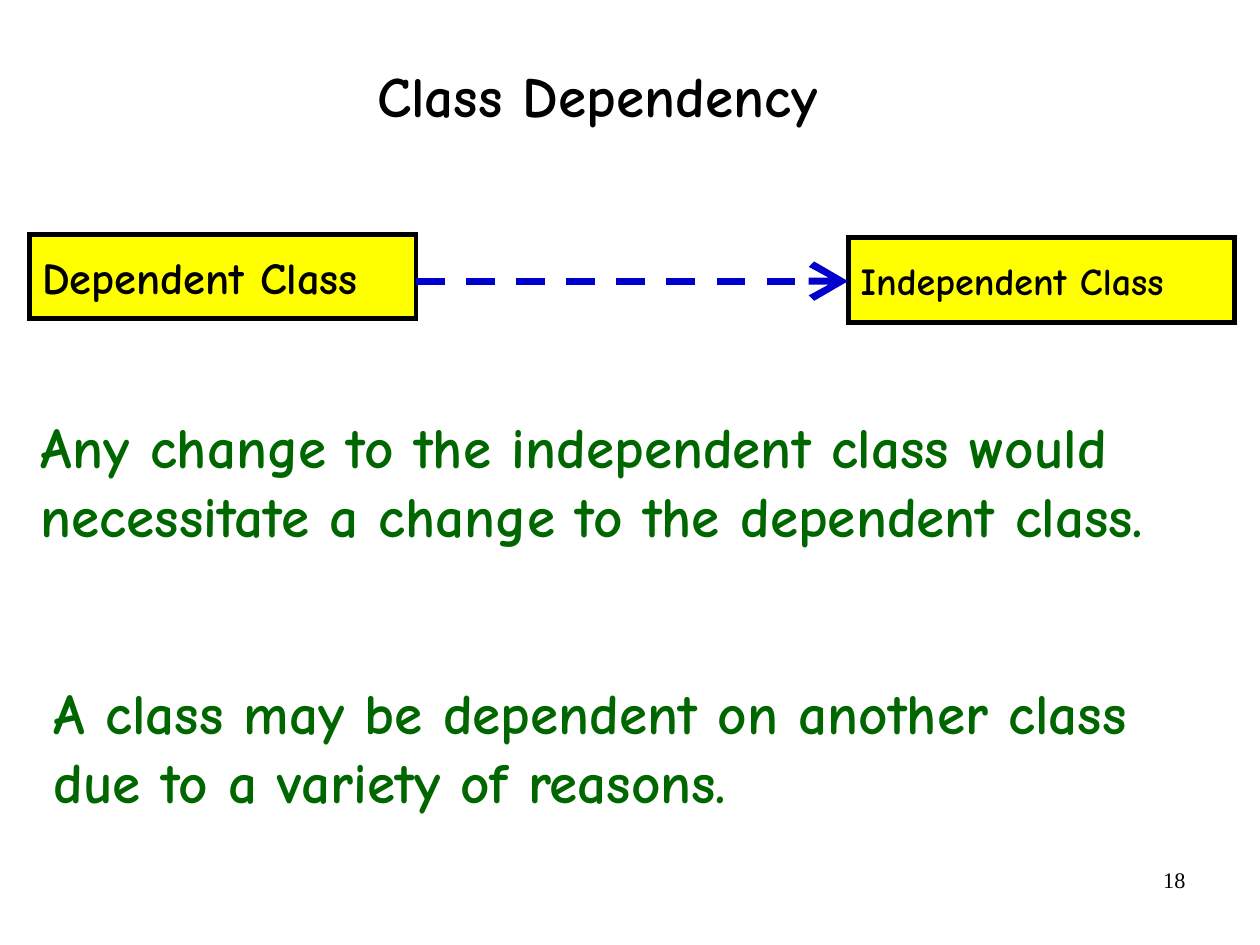
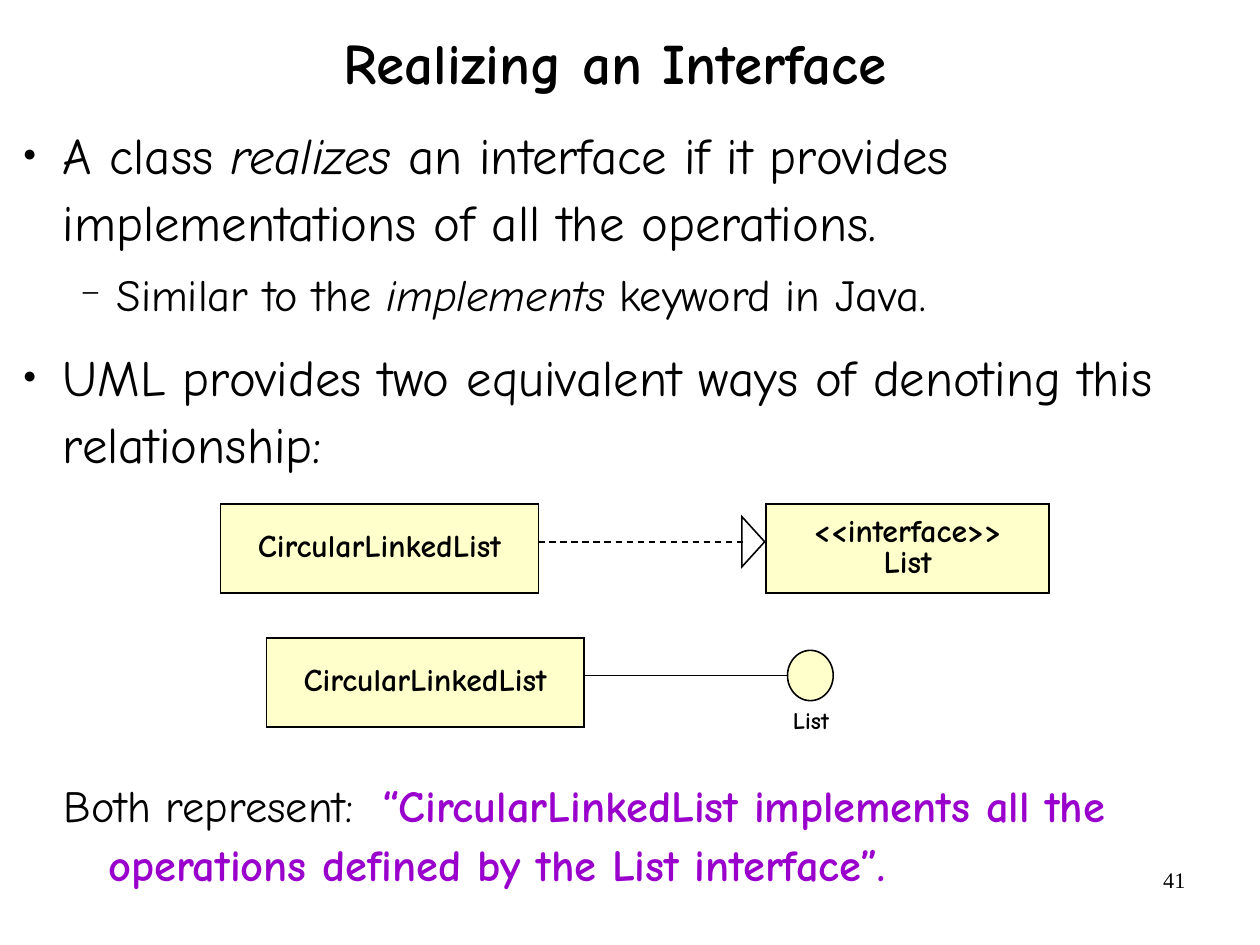
from lxml import etree
from pptx import Presentation
from pptx.dml.color import RGBColor
from pptx.enum.dml import MSO_LINE
from pptx.enum.shapes import MSO_CONNECTOR, MSO_SHAPE
from pptx.enum.text import MSO_ANCHOR, PP_ALIGN
from pptx.oxml.ns import qn
from pptx.util import Inches, Pt

FONT, SERIF = "Comic Neue", "Times New Roman"
BLACK, YELLOW, CREAM = "000000", "FFFF00", "FFFFCC"
BLUE, GREEN, PURPLE = "0000CC", "006600", "9900CC"


def color(code):
    return RGBColor.from_string(code)


def element(parent, tag, **attrs):
    return etree.SubElement(parent, qn(tag), attrs)


def bullet(para, char, size):
    props = para._p.get_or_add_pPr()
    element(element(props, "a:buClr"), "a:srgbClr", val=BLACK)
    element(props, "a:buSzPct", val=str(size * 1000))
    element(props, "a:buFont", typeface=SERIF)
    element(props, "a:buChar", char=char)


def write(frame, paras, size=36, font=FONT, ink=BLACK, bold=True, align=PP_ALIGN.LEFT,
          anchor=MSO_ANCHOR.TOP, spacing=1.0, inset=(0.1, 0.05)):
    """Fill a frame; a paragraph is a string or a dict with runs and its own format."""
    frame.word_wrap = True
    frame.vertical_anchor = anchor
    frame.margin_left = frame.margin_right = Inches(inset[0])
    frame.margin_top = frame.margin_bottom = Inches(inset[1])
    for i, item in enumerate(paras):
        if isinstance(item, str):
            item = {"runs": [(item, {})]}
        para = frame.paragraphs[0] if i == 0 else frame.add_paragraph()
        para.alignment = align
        para.line_spacing = spacing
        para.space_before = Pt(item.get("before", 0))
        para.space_after = Pt(item.get("after", 0))
        if "indent" in item:
            left, first = item["indent"]
            props = para._p.get_or_add_pPr()
            props.set("marL", str(Inches(left)))
            props.set("indent", str(Inches(first)))
        if "bullet" in item:
            bullet(para, *item["bullet"])
        for text, style in item["runs"]:
            run = para.add_run()
            run.text = text
            run.font.name = font
            run.font.size = Pt(item.get("size", size))
            run.font.bold = style.get("bold", bold)
            run.font.italic = style.get("italic", False)
            run.font.color.rgb = color(style.get("ink", ink))
            if "track" in style:
                run._r.get_or_add_rPr().set("spc", str(style["track"] * 100))


def textbox(slide, box, paras, **style):
    write(slide.shapes.add_textbox(*map(Inches, box)).text_frame, paras, **style)


def shape(slide, kind, box, fill=None, width=1):
    item = slide.shapes.add_shape(kind, *map(Inches, box))
    item.shadow.inherit = False
    if fill:
        item.fill.solid()
        item.fill.fore_color.rgb = color(fill)
    else:
        item.fill.background()
    item.line.color.rgb = color(BLACK)
    item.line.width = Pt(width)
    element(item.line._get_or_add_ln(), "a:miter", lim="800000")
    return item


def node(slide, box, paras, fill=CREAM, width=1, **style):
    item = shape(slide, MSO_SHAPE.RECTANGLE, box, fill, width)
    write(item.text_frame, paras, anchor=MSO_ANCHOR.MIDDLE, inset=(0.11, 0.06), **style)


def link(slide, left, right, y, ink=BLACK, width=1, dash=False, arrow=False):
    line = slide.shapes.add_connector(
        MSO_CONNECTOR.STRAIGHT, Inches(left), Inches(y), Inches(right), Inches(y))
    line.line.color.rgb = color(ink)
    line.line.width = Pt(width)
    if dash:
        line.line.dash_style = MSO_LINE.DASH
    if arrow:
        element(line.line._get_or_add_ln(), "a:tailEnd", type="arrow", w="lg", len="lg")
    element(line._element.spPr, "a:effectLst")


def start(deck, title, box, number):
    """Add a slide with its title and page number."""
    slide = deck.slides.add_slide(deck.slide_layouts[6])
    textbox(slide, (7.9, 7.53, 2.57, 0.57), [number], size=14, font=SERIF,
            bold=False, align=PP_ALIGN.RIGHT)
    textbox(slide, box, [title], align=PP_ALIGN.CENTER, anchor=MSO_ANCHOR.MIDDLE,
            spacing=0.9, inset=(0, 0))
    return slide


def classes(slide, left, top):
    """Draw the dependent class pointing at the independent one."""
    wide, high, step = 3.38, 0.74, 7.16
    node(slide, (left, top, wide, high), ["Dependent Class"], YELLOW, 3, size=28)
    node(slide, (left + step, top + 0.03, wide, high), ["Independent Class"],
         YELLOW, 3, size=24)
    link(slide, left + wide, left + step, top + 0.41, BLUE, 4.5, dash=True, arrow=True)


def points(slide, box):
    dot = {"indent": (0.46, -0.35), "bullet": ("●", 45)}
    slant = {"italic": True}
    textbox(slide, box, [
        {**dot, "runs": [("A class ", {}), ("realizes", slant),
                         (" an interface if it provides implementations"
                          " of all the operations.", {})]},
        {"indent": (0.93, -0.31), "bullet": ("−", 75), "size": 28, "before": 6, "after": 6,
         "runs": [("Similar to the ", {}), ("implements ", slant),
                  ("keyword in Java.", {})]},
        {**dot, "before": 6, "after": 6,
         "runs": [("UML provides two equivalent ways of denoting this relationship:", {})]},
    ], size=32, bold=False, spacing=1.1, inset=(0, 0))


def notations(slide, left, top):
    """Draw the arrow form and, below it, the lollipop form."""
    wide, high = 2.78, 0.78
    style = {"size": 20, "align": PP_ALIGN.CENTER, "spacing": 0.8}
    rows = [(left, top), (left + 0.4, top + 1.17)]
    for x, y in rows:
        node(slide, (x, y, wide, high), ["CircularLinkedList"], **style)

    x, y = rows[0]
    node(slide, (x + 4.77, y, 2.48, high), ["<<interface>>", "List"], **style)
    link(slide, x + wide, x + 4.57, y + 0.33, dash=True)
    head = shape(slide, MSO_SHAPE.ISOSCELES_TRIANGLE, (x + 4.44, y + 0.23, 0.44, 0.2))
    head.rotation = 90

    x, y = rows[1]
    shape(slide, MSO_SHAPE.OVAL, (x + 4.56, y + 0.11, 0.4, 0.44), CREAM)
    link(slide, x + wide, x + 4.56, y + 0.33)
    textbox(slide, (x + 4.02, y + 0.59, 1.49, 0.3), ["List"], **{**style, "size": 15})


def summary(slide, box):
    claim = "“CircularLinkedList implements all the operations defined by the List interface”."
    textbox(slide, box, [
        {"indent": (0.81, -0.39),
         "runs": [("Both represent:", {}), (" ", {"track": 9}),
                  (claim, {"ink": PURPLE, "bold": True})]},
    ], size=28, bold=False, spacing=1.1, inset=(0.11, 0.06))


def dependency(deck):
    slide = start(deck, "Class Dependency", (0.54, 0.18, 9.37, 1.37), "18")
    classes(slide, 0.26, 2.05)
    notes = [
        (0.26, 3.55, "Any change to the independent class would necessitate"
                     " a change to the dependent class."),
        (0.37, 5.88, "A class may be dependent on another class"
                     " due to a variety of reasons."),
    ]
    for left, top, text in notes:
        textbox(slide, (left, top, 10.43, 1.3), [text], ink=GREEN)


def realizing(deck):
    slide = start(deck, "Realizing an Interface", (0.68, -0.11, 9.4, 1.37), "41")
    points(slide, (0.09, 1.03, 10.85, 3.51))
    notations(slide, 1.93, 4.41)
    summary(slide, (0.03, 6.7, 10.85, 0.92))


def main():
    deck = Presentation()
    deck.slide_width, deck.slide_height = Inches(28 / 2.54), Inches(21 / 2.54)
    dependency(deck)
    realizing(deck)
    deck.save("out.pptx")


if __name__ == "__main__":
    main()
